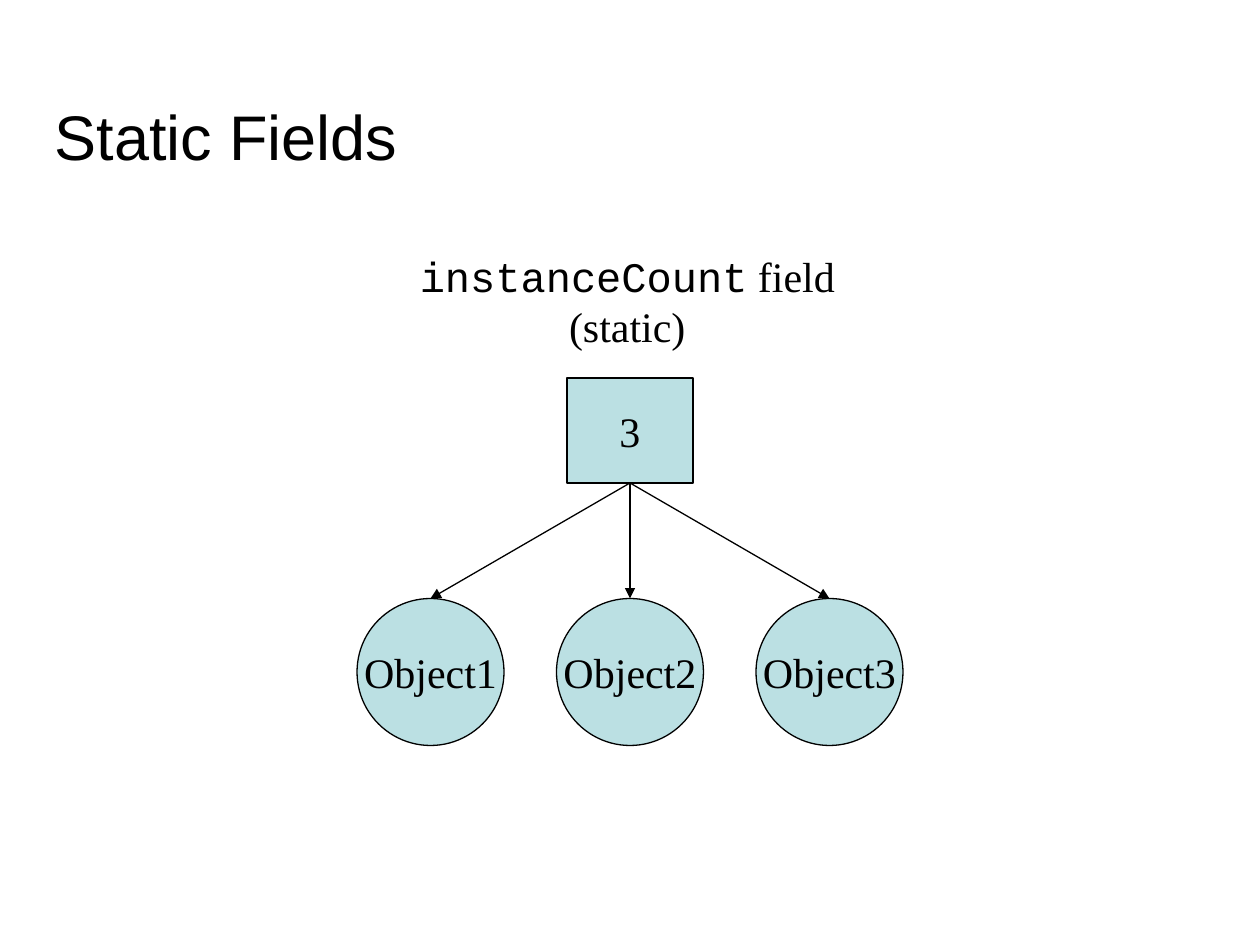
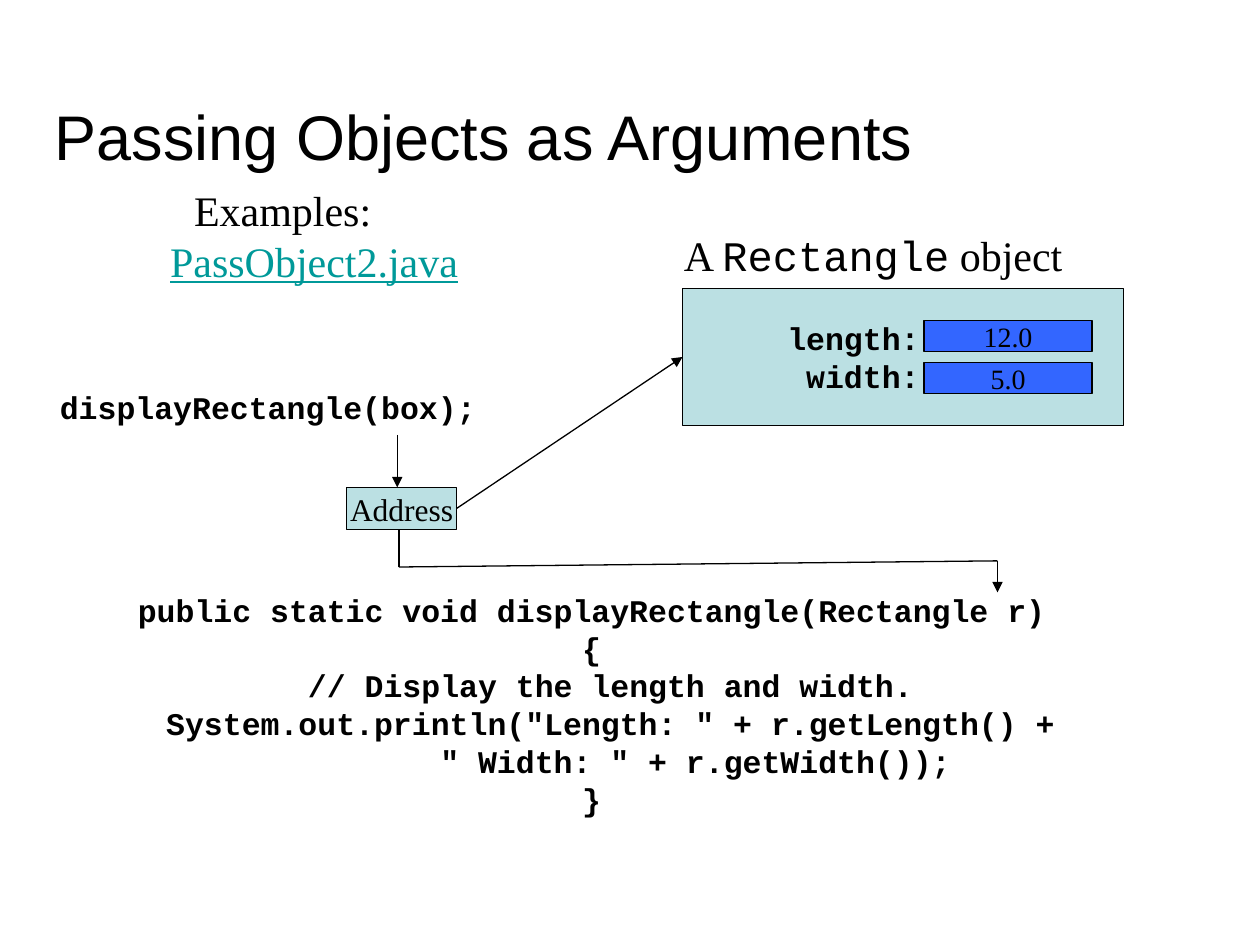
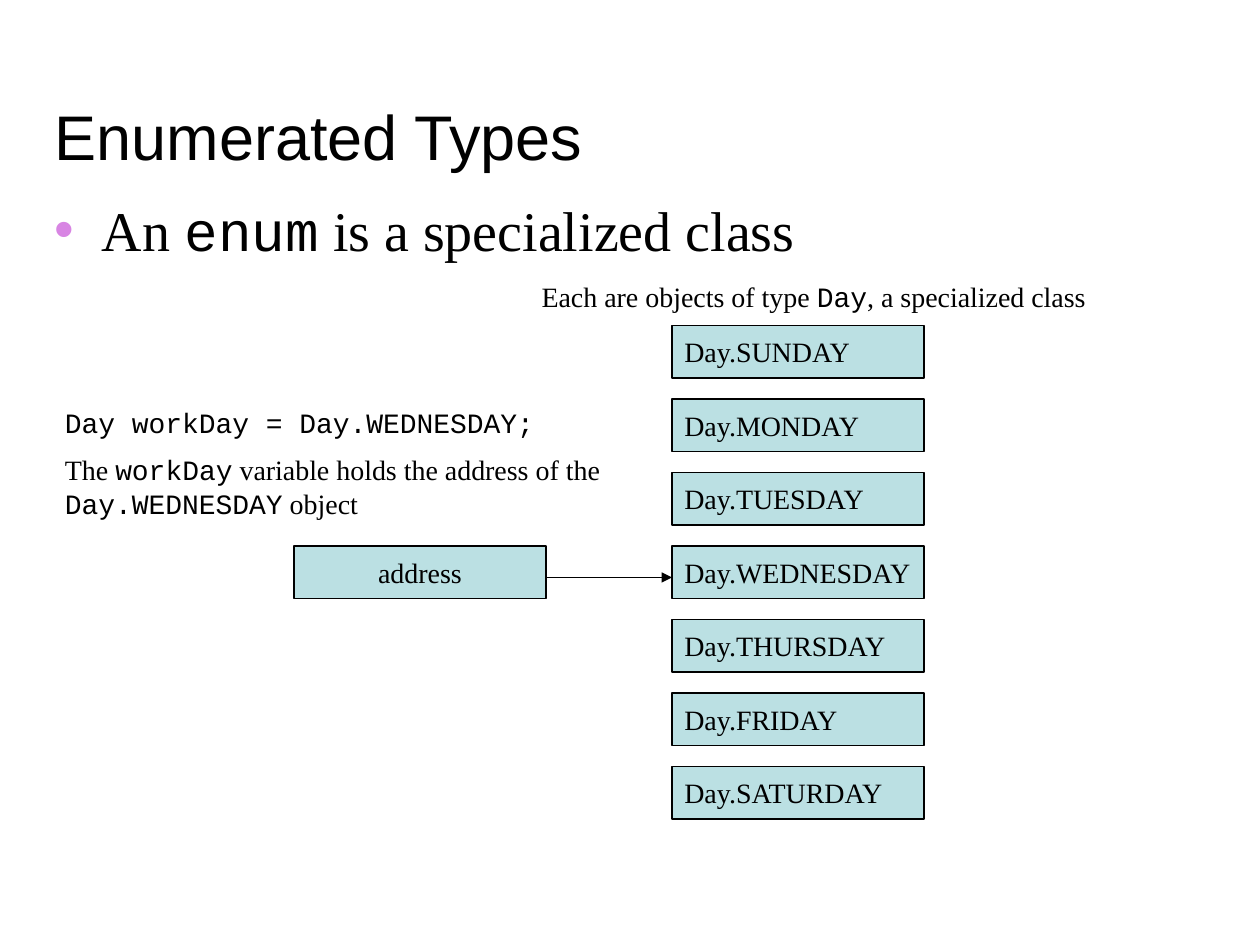
from lxml import etree
from pptx import Presentation
from pptx.dml.color import RGBColor
from pptx.enum.shapes import MSO_CONNECTOR, MSO_SHAPE
from pptx.enum.text import MSO_ANCHOR, MSO_AUTO_SIZE, PP_ALIGN
from pptx.oxml.ns import qn
from pptx.util import Pt

RECT, OVAL = MSO_SHAPE.RECTANGLE, MSO_SHAPE.OVAL
STEP = MSO_SHAPE.FLOWCHART_PROCESS
LINE = MSO_CONNECTOR.STRAIGHT
LEFT, MID, RIGHT = PP_ALIGN.LEFT, PP_ALIGN.CENTER, PP_ALIGN.RIGHT
LOW, HALF = MSO_ANCHOR.BOTTOM, MSO_ANCHOR.MIDDLE
FIXED, GROW = MSO_AUTO_SIZE.NONE, MSO_AUTO_SIZE.SHAPE_TO_FIT_TEXT

# Shared look
SANS, SERIF, MONO = "Arial", "Times New Roman", "Courier New"
BLACK, PALE, BLUE = "000000", "BBE0E3", "3366FF"
TEAL, PINK = "009999", "D885E3"
HEAD = (24, 24, 678, 78.5)
TITLE_ONLY, LISTED = 5, 1

# Content; text between backticks is set in the code font
COUNT = ["`instanceCount` field", "(static)"]
OBJECTS = ["Object1", "Object2", "Object3"]
FIELDS = [("length:", "12.0"), ("width:", "5.0")]
CODE = [
    "public static void displayRectangle(Rectangle r)",
    "{",
    "  // Display the length and width.",
    '  System.out.println("Length: " + r.getLength() +',
    '\t\t\t " Width: " + r.getWidth());',
    "}",
]
ROUTE = [(228, 302.5), (228, 324), (570, 320.5), (570, 338.5)]
POINT = "An `enum` is a specialized class"
DAYS = ["SUNDAY", "MONDAY", "TUESDAY", "WEDNESDAY", "THURSDAY", "FRIDAY",
        "SATURDAY"]
KIND = "Each are objects of type `Day`, a specialized class"
NOTE = ["`Day workDay = Day.WEDNESDAY;`",
        "The `workDay` variable holds the address of the "
        "`Day.WEDNESDAY` object"]


def color(code):
    return RGBColor.from_string(code)


def apply(item, **form):
    for name, value in form.items():
        setattr(item, name, value)


def place(shape, box):
    names = ("left", "top", "width", "height")
    apply(shape, **dict(zip(names, map(Pt, box))))


def write(shape, lines, size, face=SERIF, align=MID, bold=False, gap=0,
          **frame):
    """Fill a shape with paragraphs; frame holds text frame settings."""
    text = shape.text_frame
    apply(text, **frame)
    for i, line in enumerate(lines):
        para = text.paragraphs[0] if i == 0 else text.add_paragraph()
        apply(para, alignment=align, space_before=Pt(gap if i else 0))
        for j, part in enumerate(line.split("`")):
            if part:
                run = para.add_run()
                run.text = part
                apply(run.font, name=MONO if j % 2 else face, size=Pt(size),
                      bold=bold)
                run.font.color.rgb = color(BLACK)
    return shape


def label(slide, box, lines, size, wrap=False, **form):
    shape = slide.shapes.add_textbox(*map(Pt, box))
    return write(shape, lines, size, word_wrap=wrap, auto_size=GROW, **form)


def block(slide, kind, box, lines, size, fill=PALE, wrap=False, **form):
    shape = slide.shapes.add_shape(kind, *map(Pt, box))
    shape.shadow.inherit = False
    shape.fill.solid()
    shape.fill.fore_color.rgb = color(fill)
    shape.line.color.rgb = color(BLACK)
    shape.line.width = Pt(0.75)
    return write(shape, lines, size, word_wrap=wrap, vertical_anchor=HALF,
                 **form)


def link(slide, start=(0, 0), end=(0, 0), arrow=True):
    wire = slide.shapes.add_connector(LINE, *map(Pt, start + end))
    wire.line.color.rgb = color(BLACK)
    wire.line.width = Pt(0.75)
    if arrow:
        etree.SubElement(wire.line._get_or_add_ln(), qn("a:tailEnd"),
                         type="triangle")
    etree.SubElement(wire._element.spPr, qn("a:effectLst"))
    return wire


def join(slide, first, out, last, into):
    wire = link(slide)
    wire.begin_connect(first, out)
    wire.end_connect(last, into)


def indent(para, left, first):
    props = para._p.get_or_add_pPr()
    props.set("marL", str(Pt(left)))
    props.set("indent", str(Pt(first)))
    return props


def start(deck, title, layout=TITLE_ONLY):
    slide = deck.slides.add_slide(deck.slide_layouts[layout])
    head = slide.shapes.title
    place(head, HEAD)
    write(head, [title], 36, face=SANS, align=LEFT, vertical_anchor=LOW,
          word_wrap=True, auto_size=FIXED)
    return slide


def static(deck):
    slide = start(deck, "Static Fields")
    label(slide, (232.5, 139.5, 252, 65), COUNT, 24)
    count = block(slide, RECT, (324, 216, 72, 60), ["3"], 24)
    for i, name in enumerate(OBJECTS):
        ball = block(slide, OVAL, (204 + 114 * i, 342, 84, 84), [name], 24)
        join(slide, count, 2, ball, 0)


def passing(deck):
    slide = start(deck, "Passing Objects as Arguments")

    # Example file
    demo = label(slide, (53, 102, 217, 65.5), ["Examples:"], 24)
    para = demo.text_frame.paragraphs[0]
    indent(para, 36, -36)
    para.add_line_break()
    run = para.add_run()
    run.text = "PassObject2.java"
    apply(run.font, name=SERIF, size=Pt(24), underline=True)
    run.font.color.rgb = color(TEAL)

    # Call and method
    code = dict(size=18, face=MONO, bold=True)
    label(slide, (24, 218, 258, 29), ["displayRectangle(box);"], wrap=True,
          **code)
    label(slide, (66, 334, 544, 137), CODE, **code)

    # Object with its fields
    label(slide, (383, 127.5, 232, 36), ["A `Rectangle` object"], 24)
    thing = block(slide, RECT, (390, 165, 252, 78), [f[0] for f in FIELDS],
                  align=RIGHT, wrap=True, margin_right=Pt(116.5), **code)
    for i, (_, value) in enumerate(FIELDS):
        block(slide, RECT, (528, 183 + 24 * i, 96, 18), [value], 16,
              fill=BLUE)

    # Address and its arrows
    spot = block(slide, RECT, (198, 278.5, 63, 24), ["Address"], 18)
    link(slide, (227, 248.5), (227, 278.5))
    for a, b in zip(ROUTE, ROUTE[1:]):
        link(slide, a, b, arrow=b == ROUTE[-1])
    join(slide, spot, 3, thing, 1)


def enums(deck):
    slide = start(deck, "Enumerated Types", LISTED)

    # Bullet
    body = slide.placeholders[1]
    place(body, (24, 108, 653, 378))
    props = indent(body.text_frame.paragraphs[0], 27, -27)
    tint = etree.SubElement(props, qn("a:buClr"))
    etree.SubElement(tint, qn("a:srgbClr"), val=PINK)
    etree.SubElement(props, qn("a:buChar"), char="•")
    write(body, [POINT], 32, align=LEFT, margin_right=0, auto_size=FIXED)

    # Day objects
    for i, day in enumerate(DAYS):
        block(slide, STEP, (384, 186 + 42 * i, 144, 30), ["Day." + day], 16,
              align=LEFT)
    label(slide, (300, 156, 330, 27), [KIND], 16, wrap=True)

    # Variable and its address
    block(slide, STEP, (168, 312, 144, 30), ["address"], 16)
    label(slide, (30, 228, 342, 75), NOTE, 16, wrap=True, align=LEFT, gap=8)
    link(slide, (312, 330), (384, 330))


def main():
    deck = Presentation()
    apply(deck, slide_width=Pt(720), slide_height=Pt(540))
    for build in (static, passing, enums):
        build(deck)
    deck.save("out.pptx")


if __name__ == "__main__":
    main()
